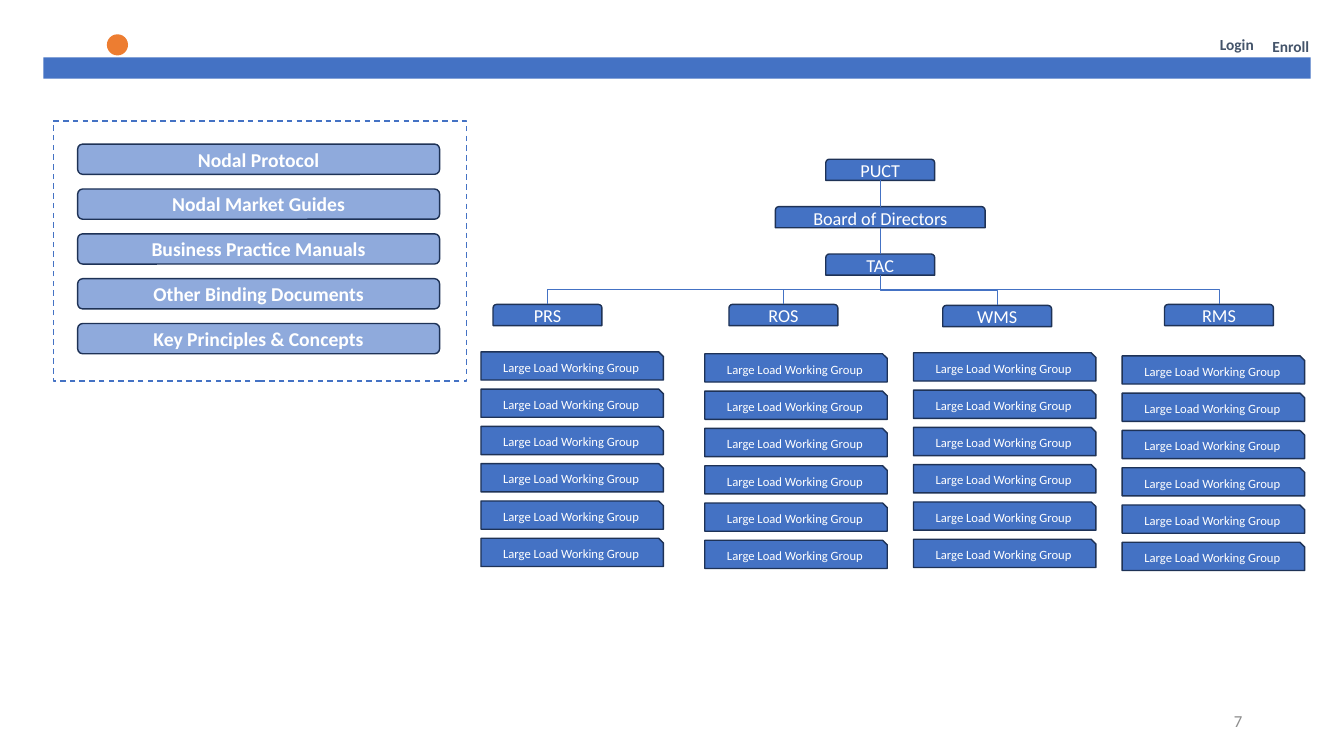
from dataclasses import dataclass

from lxml.etree import SubElement
from pptx import Presentation
from pptx.dml.color import RGBColor
from pptx.enum.dml import MSO_LINE
from pptx.enum.shapes import MSO_CONNECTOR, MSO_SHAPE
from pptx.enum.text import MSO_ANCHOR, PP_ALIGN
from pptx.oxml.ns import qn
from pptx.util import Inches, Pt

BLUE, PALE, NAVY = "4472C4", "8FAADC", "1E3256"
ORANGE, SLATE, GRAY, WHITE = "ED7D31", "44546A", "8C8C8C", "FFFFFF"


@dataclass(frozen=True)
class Style:
    shape: MSO_SHAPE
    fill: str
    width: float
    height: float
    size: float
    bold: bool = False


@dataclass(frozen=True)
class Label:
    text: str
    left: float
    top: float
    width: float
    height: float
    size: float
    color: str
    bold: bool = False
    align: PP_ALIGN = PP_ALIGN.LEFT


@dataclass(frozen=True)
class Committee:
    name: str
    left: float
    top: float
    group_left: float
    group_top: float


DOCUMENT = Style(MSO_SHAPE.ROUNDED_RECTANGLE, PALE, 3.59, 0.3, 14, True)
BODY = Style(MSO_SHAPE.ROUND_2_SAME_RECTANGLE, BLUE, 1.08, 0.21, 13)
BOARD = Style(MSO_SHAPE.ROUND_2_SAME_RECTANGLE, BLUE, 2.08, 0.21, 13)
GROUP = Style(MSO_SHAPE.SNIP_1_RECTANGLE, BLUE, 1.81, 0.28, 9)

LABELS = [
    Label("7", 9.42, 6.95, 3, 0.4, 12, GRAY, align=PP_ALIGN.RIGHT),
    Label("Login", 12, 0.29, 0.58, 0.3, 11, SLATE, True),
    Label("Enroll", 12.52, 0.31, 0.58, 0.29, 11, SLATE, True),
]
DOCUMENTS = [
    "Nodal Protocol",
    "Nodal Market Guides",
    "Business Practice Manuals",
    "Other Binding Documents",
    "Key Principles & Concepts",
]
COMMITTEES = [
    Committee("PRS", 4.89, 3.02, 4.77, 3.49),
    Committee("ROS", 7.23, 3.02, 6.99, 3.51),
    Committee("WMS", 9.35, 3.03, 9.06, 3.5),
    Committee("RMS", 11.55, 3.02, 11.13, 3.53),
]
DOCUMENT_TOP, DOCUMENT_LAST = 1.43, 3.21
GROUP_COUNT, GROUP_PITCH = 6, 0.37
CHAIN_CENTER, CHAIN_TOP, CHAIN_PITCH = 8.73, 1.58, 0.47


def rgb(value: str) -> RGBColor:
    return RGBColor.from_string(value)


def write(s, text: str, size: float, color: str, bold: bool, align: PP_ALIGN) -> None:
    tf = s.text_frame
    tf.word_wrap = True
    tf.vertical_anchor = MSO_ANCHOR.MIDDLE
    p = tf.paragraphs[0]
    p.alignment = align
    r = p.add_run()
    r.text = text
    r.font.color.rgb = rgb(color)
    for name, value in {"name": "Calibri", "size": Pt(size), "bold": bold}.items():
        setattr(r.font, name, value)


def add_label(slide, label: Label) -> None:
    box = (label.left, label.top, label.width, label.height)
    s = slide.shapes.add_textbox(*map(Inches, box))
    write(s, label.text, label.size, label.color, label.bold, label.align)


def add_plain(slide, shape: MSO_SHAPE, box: tuple, fill: str | None = None):
    s = slide.shapes.add_shape(shape, *map(Inches, box))
    s.shadow.inherit = False
    if fill:
        s.fill.solid()
        s.fill.fore_color.rgb = rgb(fill)
    else:
        s.fill.background()
    s.line.fill.background()
    return s


def set_line(s, color: str, width: float) -> None:
    s.line.color.rgb = rgb(color)
    s.line.width = Pt(width)


def add_box(slide, style: Style, text: str, left: float, top: float):
    s = add_plain(slide, style.shape, (left, top, style.width, style.height), style.fill)
    set_line(s, NAVY, 1)
    write(s, text, style.size, WHITE, style.bold, PP_ALIGN.CENTER)
    return s


def add_link(slide, kind: MSO_CONNECTOR, upper, lower):
    ends = (upper.left + upper.width // 2, upper.top + upper.height,
            lower.left + lower.width // 2, lower.top)
    s = slide.shapes.add_connector(kind, *ends)
    set_line(s, BLUE, 0.5)
    SubElement(s._element.spPr, qn("a:effectLst"))
    return s


def add_straight(slide, upper, lower) -> None:
    s = add_link(slide, MSO_CONNECTOR.STRAIGHT, upper, lower)
    s.begin_connect(upper, 2)
    s.end_connect(lower, 0)


def add_branch(slide, upper, lower) -> None:
    s = add_link(slide, MSO_CONNECTOR.ELBOW, upper, lower)
    to_right = s.end_x > s.begin_x
    across, down = s.width, s.height
    shift = (across - down) // 2
    turned = {"left": s.left + shift, "top": s.top - shift, "width": down, "height": across}
    for name, value in turned.items():
        setattr(s, name, value)
    xfrm = s._element.spPr.find(qn("a:xfrm"))
    xfrm.set("rot", str((270 if to_right else 90) * 60000))
    xfrm.set("flipH", "1" if to_right else "0")


def main() -> None:
    prs = Presentation()
    prs.slide_width, prs.slide_height = Inches(13.33), Inches(7.5)
    slide = prs.slides.add_slide(prs.slide_layouts[6])

    add_plain(slide, MSO_SHAPE.RECTANGLE, (0.43, 0.57, 12.57, 0.21), BLUE)
    add_plain(slide, MSO_SHAPE.OVAL, (1.06, 0.34, 0.21, 0.21), ORANGE)
    for label in LABELS:
        add_label(slide, label)

    pitch = (DOCUMENT_LAST - DOCUMENT_TOP) / (len(DOCUMENTS) - 1)
    for i, text in enumerate(DOCUMENTS):
        add_box(slide, DOCUMENT, text, 0.77, DOCUMENT_TOP + i * pitch)

    chain = [
        add_box(slide, style, text, CHAIN_CENTER - style.width / 2, CHAIN_TOP + i * CHAIN_PITCH)
        for i, (text, style) in enumerate(
            [("PUCT", BODY), ("Board of Directors", BOARD), ("TAC", BODY)])
    ]
    for upper, lower in zip(chain, chain[1:]):
        add_straight(slide, upper, lower)

    for c in COMMITTEES:
        s = add_box(slide, BODY, c.name, c.left, c.top)
        add_branch(slide, chain[-1], s)
        for i in range(GROUP_COUNT):
            add_box(slide, GROUP, "Large Load Working Group",
                    c.group_left, c.group_top + i * GROUP_PITCH)

    frame = add_plain(slide, MSO_SHAPE.RECTANGLE, (0.53, 1.2, 4.1, 2.58))
    set_line(frame, BLUE, 1)
    frame.line.dash_style = MSO_LINE.DASH

    prs.save("out.pptx")


if __name__ == "__main__":
    main()
